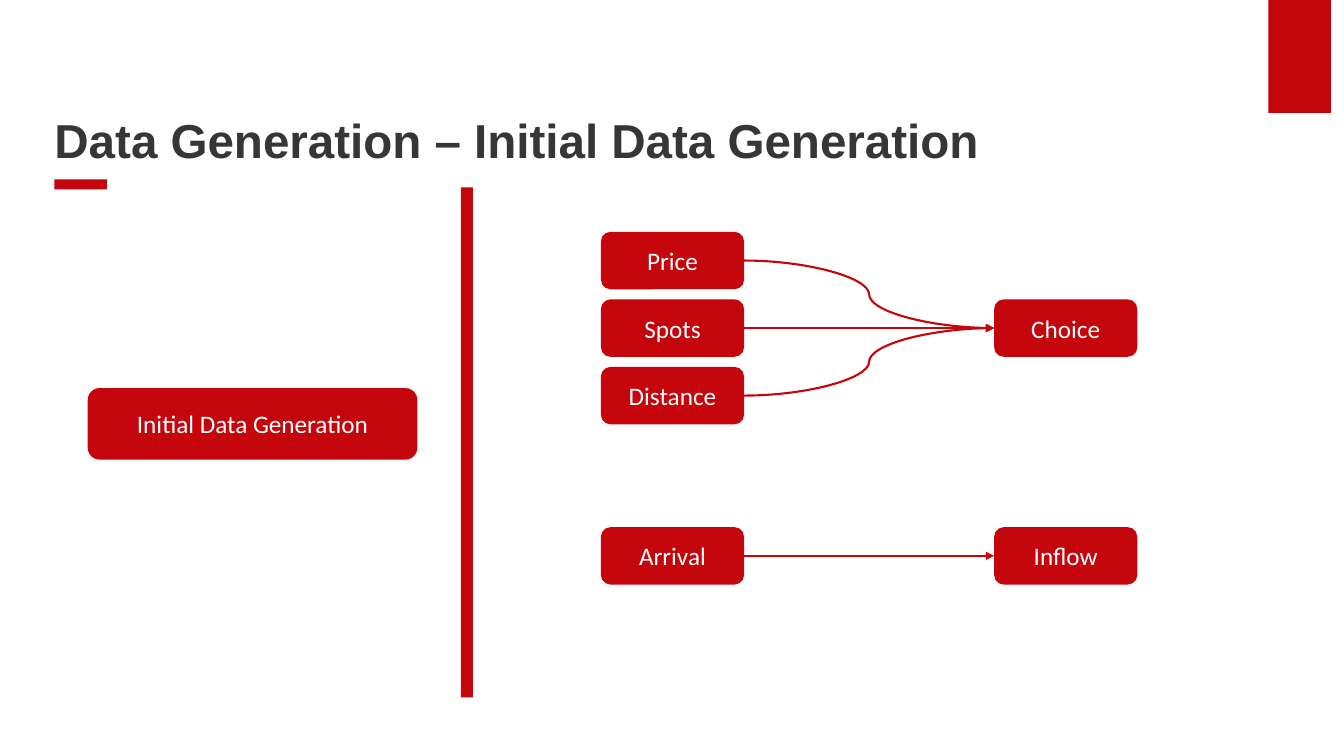
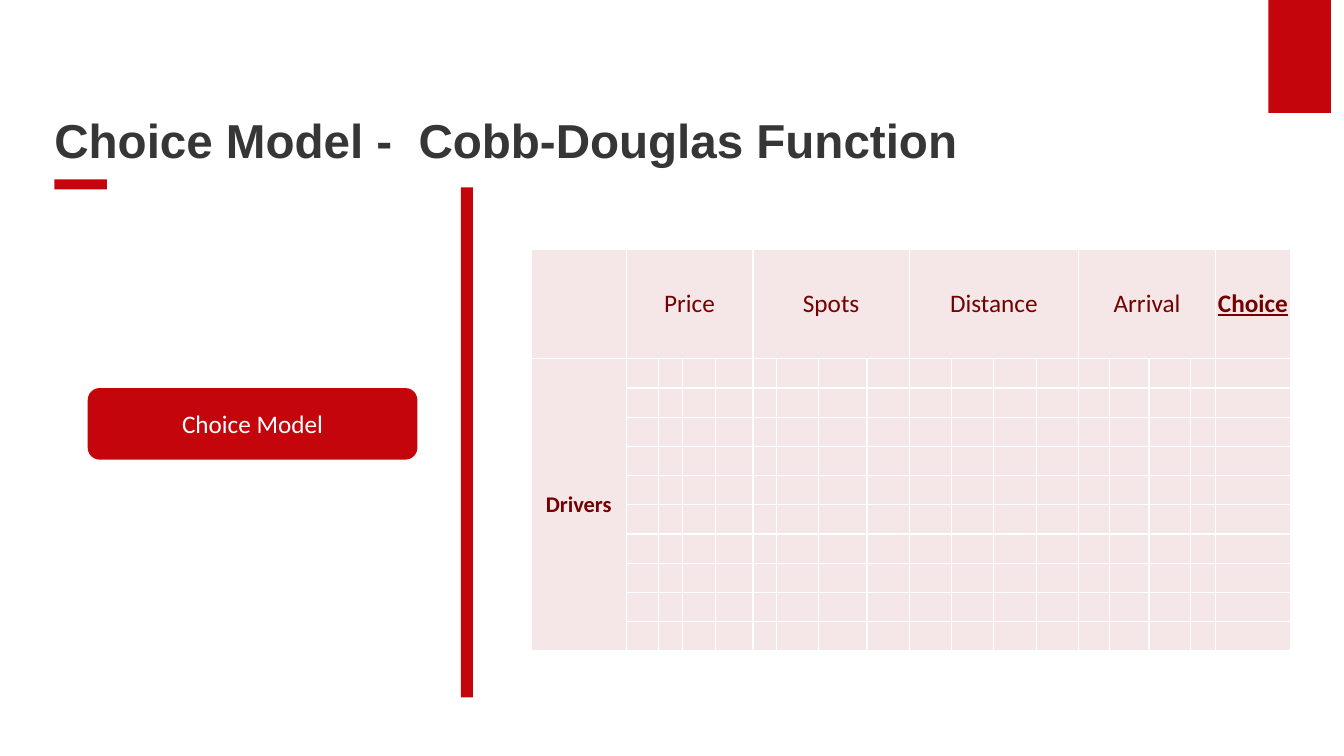
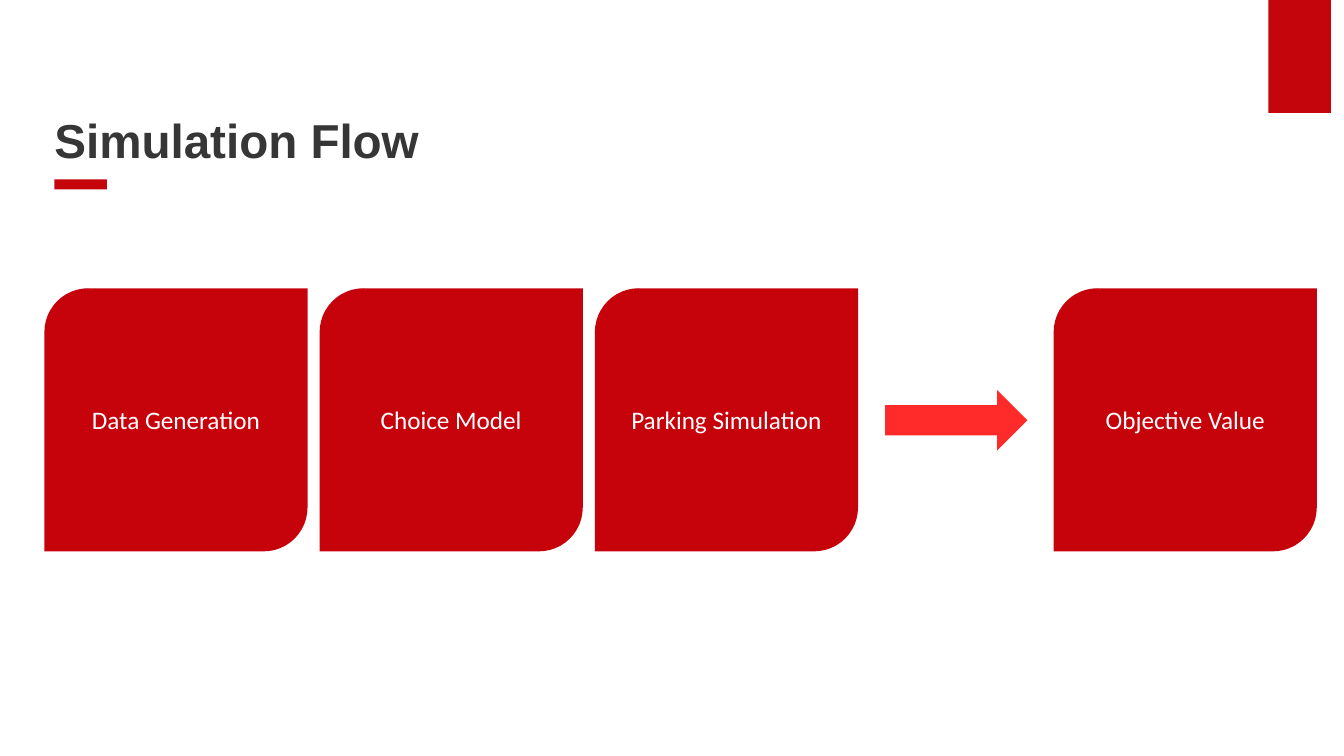
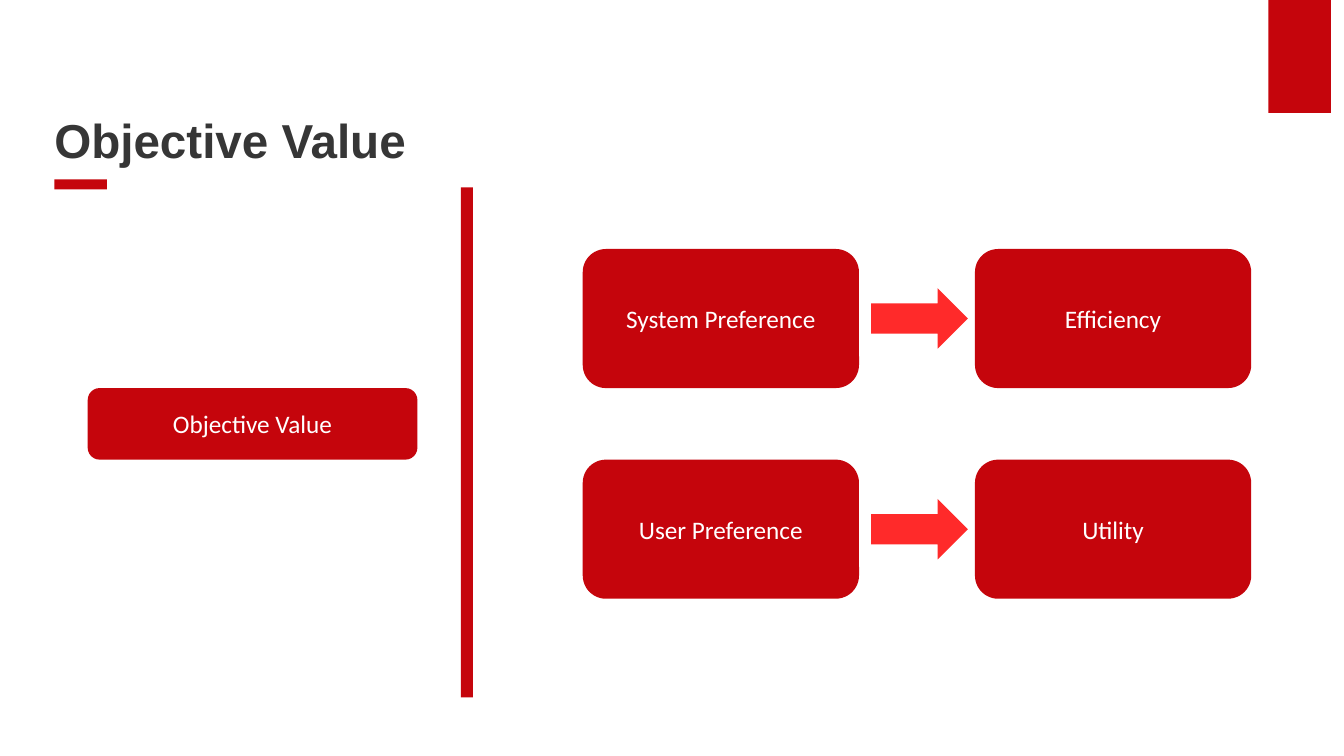
from lxml import etree
from pptx import Presentation
from pptx.dml.color import RGBColor
from pptx.enum.shapes import MSO_CONNECTOR, MSO_SHAPE
from pptx.enum.text import MSO_ANCHOR, PP_ALIGN
from pptx.oxml.ns import qn
from pptx.util import Inches, Pt

RECT = MSO_SHAPE.RECTANGLE
ROUNDED = MSO_SHAPE.ROUNDED_RECTANGLE
DIAGONAL = MSO_SHAPE.ROUND_2_DIAG_RECTANGLE
ARROW = MSO_SHAPE.RIGHT_ARROW
CURVE = MSO_CONNECTOR.CURVE
CENTER = PP_ALIGN.CENTER
MIDDLE = MSO_ANCHOR.MIDDLE
BOTTOM = MSO_ANCHOR.BOTTOM
LEFT_SITE, RIGHT_SITE = 1, 3

RED = "C5050C"
FLOW_RED = "C6030B"
ARROW_RED = "FF2A2A"
TITLE_GREY = "363636"
WHITE = "FFFFFF"
CELL_PINK = "F5E7E7"
CELL_TEXT = "740000"


def write(p, text, color, size=18, **formats):
    """Add a run to a paragraph; formats are font attributes."""
    font_formats = {"name": "Calibri", "size": Pt(size), **formats}
    r = p.add_run()
    r.text = text
    r.font.color.rgb = RGBColor.from_string(color)
    for name, value in font_formats.items():
        setattr(r.font, name, value)


def add_box(s, kind, box, fill=RED, text=None):
    """Add a filled shape without outline, with optional centred white text."""
    sp = s.shapes.add_shape(kind, *map(Inches, box))
    sp.shadow.inherit = False
    sp.fill.solid()
    sp.fill.fore_color.rgb = RGBColor.from_string(fill)
    sp.line.fill.background()
    if text:
        tf = sp.text_frame
        tf.word_wrap = True
        tf.vertical_anchor = MIDDLE
        p = tf.paragraphs[0]
        p.alignment = CENTER
        write(p, text, WHITE)
    return sp


prs = Presentation()
prs.slide_width, prs.slide_height = Inches(13.33), Inches(7.5)

# Shared frame: title, red marks and, where there is a topic, the left panel
pages = [
    ("Data Generation – Initial Data Generation", "Initial Data Generation"),
    ("Choice Model -  Cobb-Douglas Function", "Choice Model"),
    ("Simulation Flow", None),
    ("Objective Value", "Objective Value"),
]
slides = []
for title, topic in pages:
    s = prs.slides.add_slide(prs.slide_layouts[6])
    slides.append(s)
    add_box(s, RECT, (12.58, 0, 0.62, 1.12))
    add_box(s, RECT, (0.54, 1.78, 0.52, 0.1))
    tf = s.shapes.add_textbox(Inches(0.54), Inches(0.5), Inches(11.67), Inches(1.17)).text_frame
    tf.word_wrap = True
    tf.vertical_anchor = BOTTOM
    tf.margin_left = tf.margin_bottom = 0
    p = tf.paragraphs[0]
    p.line_spacing = 0.9
    write(p, title, TITLE_GREY, 34, name="Arial", bold=True)
    if topic:
        add_box(s, ROUNDED, (0.87, 3.85, 3.27, 0.71), text=topic)
        add_box(s, RECT, (4.57, 1.86, 0.12, 5.06))
data_slide, choice_slide, flow_slide, value_slide = slides

# Data generation: inputs and what they drive
nodes = {}
for name, x, y in [
    ("Price", 5.96, 2.3),
    ("Spots", 5.96, 2.97),
    ("Distance", 5.96, 3.64),
    ("Choice", 9.86, 2.97),
    ("Arrival", 5.96, 5.23),
    ("Inflow", 9.86, 5.23),
]:
    nodes[name] = add_box(data_slide, ROUNDED, (x, y, 1.42, 0.57), text=name)
for start, end in [
    ("Price", "Choice"),
    ("Spots", "Choice"),
    ("Distance", "Choice"),
    ("Arrival", "Inflow"),
]:
    line = data_slide.shapes.add_connector(CURVE, 0, 0, 0, 0)
    line.begin_connect(nodes[start], RIGHT_SITE)
    line.end_connect(nodes[end], LEFT_SITE)
    line.line.color.rgb = RGBColor.from_string(RED)
    line.line.width = Pt(1.5)
    spPr = line._element.spPr
    etree.SubElement(spPr.find(qn("a:ln")), qn("a:tailEnd"), type="triangle")
    etree.SubElement(spPr, qn("a:effectLst"))

# Choice model: drivers table
col_widths = [0.94, 0.32, 0.24, 0.33, 0.37, 0.23, 0.42, 0.48, 0.42,
              0.42, 0.42, 0.42, 0.42, 0.31, 0.39, 0.41, 0.25, 0.74]
row_heights = [1.09] + [0.29] * 10
table = choice_slide.shapes.add_table(
    len(row_heights), len(col_widths),
    Inches(5.27), Inches(2.47), Inches(sum(col_widths)), Inches(sum(row_heights))).table
table.first_row = table.horz_banding = False
for column, width in zip(table.columns, col_widths):
    column.width = Inches(width)
for row, height in zip(table.rows, row_heights):
    row.height = Inches(height)

labels = {(0, 17): ("Choice", {"bold": True, "underline": True}),
          (1, 0): ("Drivers", {"size": 16, "bold": True})}
for i, name in enumerate(["Price", "Spots", "Distance", "Arrival"]):
    col = 1 + 4 * i
    labels[0, col] = (name, {})
    table.cell(0, col).merge(table.cell(0, col + 3))
table.cell(1, 0).merge(table.cell(10, 0))

for row in range(len(row_heights)):
    for col in range(len(col_widths)):
        cell = table.cell(row, col)
        cell.vertical_anchor = MIDDLE
        cell.margin_left = cell.margin_right = Inches(0.01)
        cell.margin_top = cell.margin_bottom = Inches(0.01)
        tcPr = cell._tc.get_or_add_tcPr()
        for side in ("lnL", "lnR", "lnT", "lnB"):
            ln = etree.SubElement(tcPr, qn(f"a:{side}"), w=str(Pt(1)))
            fill = etree.SubElement(ln, qn("a:solidFill"))
            etree.SubElement(fill, qn("a:srgbClr"), val=WHITE)
        cell.fill.solid()
        cell.fill.fore_color.rgb = RGBColor.from_string(CELL_PINK)
        p = cell.text_frame.paragraphs[0]
        if (row, col) in labels:
            text, formats = labels[row, col]
            p.alignment = CENTER
            write(p, text, CELL_TEXT, **formats)
        else:
            # A small end mark lets empty rows keep their height
            etree.SubElement(p._p, qn("a:endParaRPr"), sz="800")

# Simulation flow: three steps, then the result
steps = ["Data Generation", "Choice Model", "Parking Simulation"]
for i, name in enumerate(steps):
    add_box(flow_slide, DIAGONAL, (0.44 + 2.73 * i, 2.86, 2.61, 2.61), FLOW_RED, name)
add_box(flow_slide, DIAGONAL, (10.45, 2.86, 2.61, 2.61), FLOW_RED, "Objective Value")
add_box(flow_slide, ARROW, (8.78, 3.87, 1.41, 0.6), ARROW_RED)

# Objective value: each preference and its measure
measures = [("System Preference", "Efficiency"), ("User Preference", "Utility")]
for i, (preference, measure) in enumerate(measures):
    y = 2.47 + 2.09 * i
    add_box(value_slide, ROUNDED, (5.78, y, 2.74, 1.38), text=preference)
    add_box(value_slide, ROUNDED, (9.67, y, 2.74, 1.38), text=measure)
    add_box(value_slide, ARROW, (8.64, y + 0.39, 0.96, 0.6), ARROW_RED)

prs.save("out.pptx")
